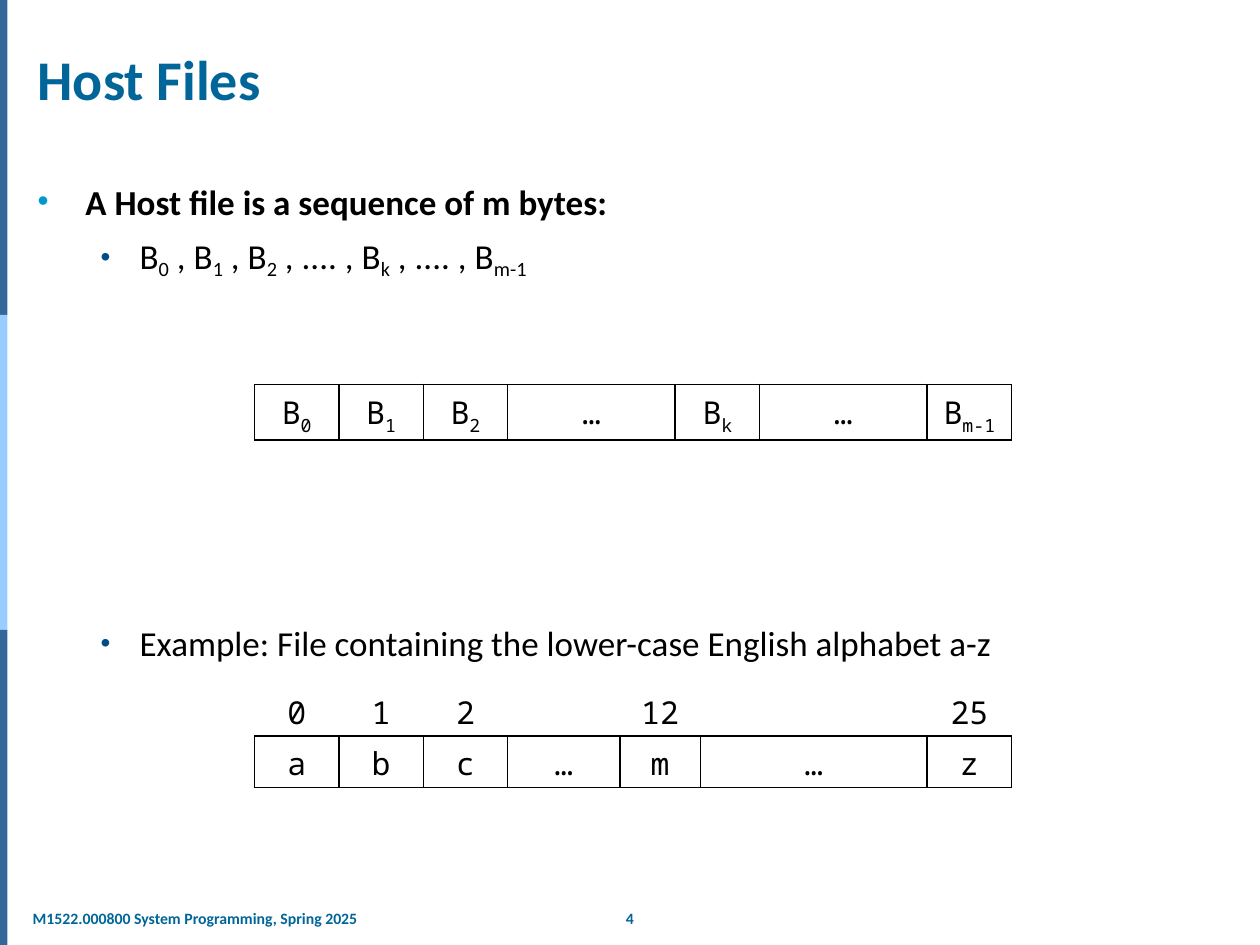
import pptx
import pptx.util
import pptx.dml.color
import pptx.enum.shapes
import pptx.enum.text
import pptx.oxml
import pptx.oxml.ns

Inches = pptx.util.Inches
Pt = pptx.util.Pt
ALIGN = pptx.enum.text.PP_ALIGN
ANCHOR = pptx.enum.text.MSO_ANCHOR
SANS = "Calibri"
MONO = "Noto Sans Mono"
TEAL = "006699"
BLACK = "000000"


def color(code):
    return pptx.dml.color.RGBColor.from_string(code)


def add_xml(parent, body):
    tag, rest = body.split(" ", 1)
    space = pptx.oxml.ns.nsdecls("a")
    parent.append(pptx.oxml.parse_xml(f"<{tag} {space} {rest}"))


def add_runs(para, parts, size, font=SANS, code=BLACK, bold=False, drop=-20):
    for index, part in enumerate(parts):
        run = para.add_run()
        run.text = part
        run.font.size = Pt(size)
        run.font.name = font
        run.font.bold = bold
        run.font.color.rgb = color(code)
        if index % 2:
            run._r.get_or_add_rPr().set("baseline", str(drop * 1000))


def add_bar(slide, top, code):
    kind = pptx.enum.shapes.MSO_SHAPE.RECTANGLE
    bar = slide.shapes.add_shape(kind, 0, Inches(top), Inches(0.06), Inches(2.5))
    bar.shadow.inherit = False
    bar.fill.solid()
    bar.fill.fore_color.rgb = color(code)
    bar.line.fill.background()


def add_box(slide, left, top, width, height, inset=0.1):
    box = slide.shapes.add_textbox(
        Inches(left), Inches(top), Inches(width), Inches(height))
    frame = box.text_frame
    frame.word_wrap = True
    frame.margin_left = frame.margin_right = Inches(inset)
    return frame


def add_bullet(para, left, hang, code, scale, before):
    para.space_before = Pt(before)
    props = para._p.get_or_add_pPr()
    props.set("marL", str(Inches(left)))
    props.set("indent", str(-Inches(hang)))
    add_xml(props, f'a:buClr ><a:srgbClr val="{code}"/></a:buClr>')
    add_xml(props, f'a:buSzPct val="{scale * 1000}"/>')
    add_xml(props, 'a:buFont typeface="Arial"/>')
    add_xml(props, 'a:buChar char="•"/>')


def add_body(slide):
    frame = add_box(slide, 0.2, 1.38, 9.65, 5.71)
    head = frame.paragraphs[0]
    add_bullet(head, 0.38, 0.38, "0098CD", 90, 0)
    add_runs(head, ["A Host file is a sequence of m bytes:"], 20, bold=True)
    series = ["B", "0", " , B", "1", " , B", "2",
              " , .... , B", "k", " , .... , B", "m-1"]
    sample = ["Example: File containing the lower-case English alphabet a-z"]
    for parts, before in ((series, 7), (sample, 195)):
        para = frame.add_paragraph()
        add_bullet(para, 0.81, 0.31, "004D86", 80, before)
        add_runs(para, parts, 20)


def fill_cell(cell, parts, sides):
    cell.vertical_anchor = ANCHOR.MIDDLE
    props = cell._tc.get_or_add_tcPr()
    for side in sides:
        add_xml(props, f'a:ln{side} w="12700"><a:solidFill>'
                       f'<a:srgbClr val="{BLACK}"/></a:solidFill></a:ln{side}>')
    cell.fill.background()
    para = cell.text_frame.paragraphs[0]
    para.alignment = ALIGN.CENTER
    add_runs(para, parts, 18, MONO, drop=-25)


def add_grid(slide, top, widths, rows):
    high = 0.41
    table = slide.shapes.add_table(
        len(rows), len(widths), Inches(2.02), Inches(top),
        Inches(6), Inches(high * len(rows))).table
    table.first_row = table.horz_banding = False
    for column, width in zip(table.columns, widths):
        column.width = Inches(width)
    for index, (texts, sides) in enumerate(rows):
        table.rows[index].height = Inches(high)
        for spot, parts in enumerate(texts):
            fill_cell(table.cell(index, spot), parts, sides)


def main():
    deck = pptx.Presentation()
    deck.slide_width = Inches(10)
    deck.slide_height = Inches(7.5)
    slide = deck.slides.add_slide(deck.slide_layouts[6])

    for index, code in enumerate(("336699", "99CCFF", "336699")):
        add_bar(slide, index * 2.5, code)

    number = add_box(slide, 4.82, 7.16, 0.36, 0.25).paragraphs[0]
    number.alignment = ALIGN.CENTER
    add_runs(number, ["4"], 9, code=TEAL, bold=True)
    course = add_box(slide, 0.2, 7.16, 2.78, 0.25, 0.06).paragraphs[0]
    add_runs(course, ["M1522.000800 System Programming, Spring 2025"], 9,
             code=TEAL, bold=True)
    title = add_box(slide, 0.2, 0.31, 9.65, 0.63)
    title.vertical_anchor = ANCHOR.BOTTOM
    add_runs(title.paragraphs[0], ["Host Files"], 32, code=TEAL, bold=True)
    add_body(slide)

    every = ("L", "R", "T", "B")
    dots = ["…"]
    series = [["B", "0"], ["B", "1"], ["B", "2"], dots,
              ["B", "k"], dots, ["B", "m-1"]]
    add_grid(slide, 3.05, (0.67, 0.67, 0.67, 1.33, 0.67, 1.33, 0.67),
             [(series, every)])
    places = [["0"], ["1"], ["2"], [], ["12"], [], ["25"]]
    letters = [["a"], ["b"], ["c"], dots, ["m"], dots, ["z"]]
    add_grid(slide, 5.43, (0.67, 0.67, 0.67, 0.89, 0.64, 1.8, 0.67),
             [(places, ("B",)), (letters, every)])
    deck.save("out.pptx")


if __name__ == "__main__":
    main()
